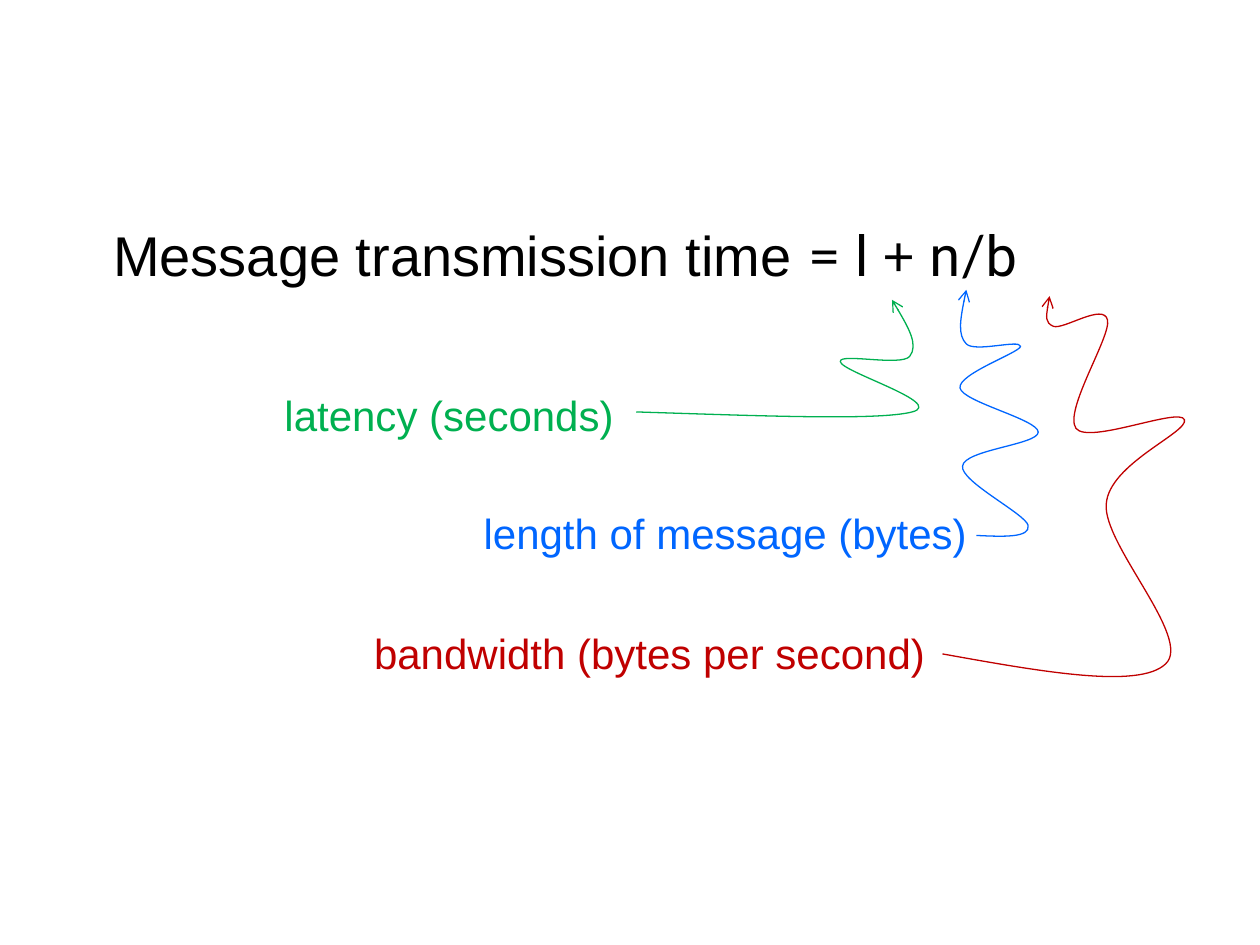
import pptx
import pptx.util
import pptx.dml.color
import pptx.enum.text
import pptx.oxml.ns
from lxml import etree

RGB = pptx.dml.color.RGBColor
BLACK = RGB(0x00, 0x00, 0x00)
GREEN = RGB(0x00, 0xB0, 0x50)
BLUE = RGB(0x00, 0x66, 0xFF)
RED = RGB(0xC0, 0x00, 0x00)
qn = pptx.oxml.ns.qn
Pt = pptx.util.Pt

deck = pptx.Presentation()
deck.slide_width = pptx.util.Inches(10)
deck.slide_height = pptx.util.Inches(7.5)
unit = deck.slide_width // 1000
slide = deck.slides.add_slide(deck.slide_layouts[6])


def add_text(area, parts, size, hue, wrap):
    box = slide.shapes.add_textbox(*[n * unit for n in area])
    frame = box.text_frame
    frame.word_wrap = wrap
    frame.auto_size = pptx.enum.text.MSO_AUTO_SIZE.SHAPE_TO_FIT_TEXT
    for text, face in parts:
        run = frame.paragraphs[0].add_run()
        run.text = text
        for key, value in {"size": Pt(size), "name": face}.items():
            setattr(run.font, key, value)
        run.font.color.rgb = hue


def add_curve(points, hue):
    pen = slide.shapes.build_freeform(*points[0], scale=unit)
    pen.add_line_segments(points[1:], close=False)
    curve = pen.convert_to_shape()
    curve.shadow.inherit = False
    curve.fill.background()
    curve.line.color.rgb = hue
    curve.line.width = Pt(0.75)
    steps = list(curve._element.iter(qn("a:lnTo")))
    for i in range(0, len(steps), 3):
        bend = etree.SubElement(steps[i].getparent(), qn("a:cubicBezTo"))
        for step in steps[i:i + 3]:
            bend.append(step[0])
            step.getparent().remove(step)
    etree.SubElement(curve.line._get_or_add_ln(), qn("a:tailEnd"), type="arrow")


title = [
    ("Message transmission time ", "Arial"),
    ("= ", "Lato"), ("l ", "Roboto"), ("+ ", "Lato"),
    ("n", "Roboto"), ("/", "Lato"), ("b", "Roboto"),
]
add_text((80, 170, 814, 64), title, 32, BLACK, True)

terms = [
    ("latency (seconds)", 216, 284, GREEN, [
        (505, 327), (601, 330), (697, 334), (724, 327),
        (751, 320), (667, 295), (667, 287),
        (666, 280), (715, 291), (722, 283),
        (729, 274), (719, 256), (708, 238)]),
    ("length of message (bytes)", 374, 404, BLUE, [
        (775, 425), (796, 426), (818, 427), (816, 417),
        (814, 408), (762, 382), (764, 370),
        (765, 357), (824, 353), (824, 343),
        (824, 333), (764, 319), (762, 308),
        (760, 297), (809, 280), (810, 275),
        (810, 269), (774, 280), (767, 273),
        (760, 266), (763, 248), (767, 230)]),
    ("bandwidth (bytes per second)", 287, 462, RED, [
        (748, 519), (826, 533), (904, 547), (925, 527),
        (947, 507), (875, 432), (878, 400),
        (880, 368), (944, 343), (940, 333),
        (936, 323), (864, 353), (854, 340),
        (844, 326), (882, 267), (879, 254),
        (876, 240), (844, 262), (836, 259),
        (829, 256), (831, 245), (833, 235)]),
]
top, pitch = 304, 94.5
for row, (text, left, width, hue, points) in enumerate(terms):
    area = (left, round(top + row * pitch), width, 51)
    add_text(area, [(text, "Arial")], 24, hue, False)
    add_curve(points, hue)

deck.save("out.pptx")
